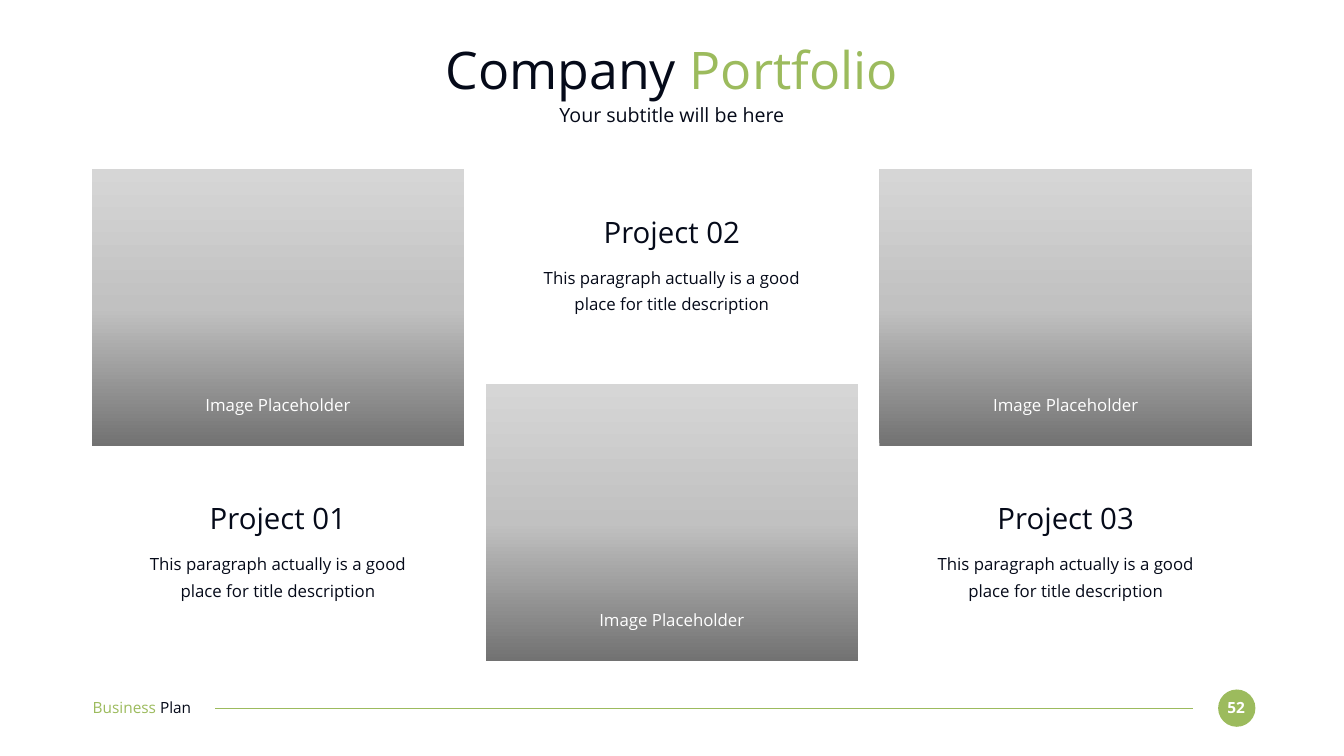
from copy import deepcopy
from dataclasses import dataclass

from lxml import etree
from pptx import Presentation
from pptx.dml.color import RGBColor
from pptx.enum import shapes, text
from pptx.oxml import ns
from pptx.util import Pt


@dataclass(frozen=True)
class Theme:
    font: str = "Open Sans"
    ink: str = "050A19"
    accent: str = "9CBB5D"
    white: str = "FFFFFF"
    gradient: tuple = ((0, "727272"), (0.5, "C1C1C1"), (1, "D6D6D6"))
    title: int = 74
    heading: int = 42
    subtitle: int = 28
    body: int = 24
    footer: int = 22


@dataclass(frozen=True)
class Frame:
    left: float
    top: float
    width: float
    height: float

    def lengths(self) -> tuple:
        return Pt(self.left), Pt(self.top), Pt(self.width), Pt(self.height)


@dataclass(frozen=True)
class Span:
    text: str
    color: str


@dataclass(frozen=True)
class Project:
    name: str
    column: int
    image_top: float
    heading_top: float


THEME = Theme()
COLUMN_LEFT, COLUMN_STEP = 131, 562.7
IMAGE_WIDTH, IMAGE_HEIGHT = 532, 395.3
HIGH_IMAGE, LOW_IMAGE = 242, 548.6
HIGH_TEXT, LOW_TEXT = 305.3, 714.2
DESCRIPTION = "This paragraph actually is a good place for title description"
PROJECTS = (
    Project("Project 01", 0, HIGH_IMAGE, LOW_TEXT),
    Project("Project 02", 1, LOW_IMAGE, HIGH_TEXT),
    Project("Project 03", 2, HIGH_IMAGE, LOW_TEXT),
)


def write(box, spans: tuple, size: int, align=text.PP_ALIGN.CENTER,
          bold: bool = False, spacing: float = 1.0) -> None:
    frame = box.text_frame
    frame.margin_left = frame.margin_right = Pt(0)
    frame.margin_top = frame.margin_bottom = Pt(0)
    frame.word_wrap = True
    frame.auto_size = text.MSO_AUTO_SIZE.NONE
    frame.vertical_anchor = text.MSO_ANCHOR.MIDDLE
    para = frame.paragraphs[0]
    para.alignment = align
    para.line_spacing = spacing
    for span in spans:
        run = para.add_run()
        run.text = span.text
        run.font.name = THEME.font
        run.font.size = Pt(size)
        run.font.bold = bold
        run.font.color.rgb = RGBColor.from_string(span.color)


def add_text(page, frame: Frame, spans: tuple, size: int, **options) -> None:
    write(page.shapes.add_textbox(*frame.lengths()), spans, size, **options)


def add_title(page, frame: Frame, spans: tuple) -> None:
    title = page.shapes.title
    title.left, title.top, title.width, title.height = frame.lengths()
    write(title, spans, THEME.title)


def add_plain_shape(page, kind, frame: Frame):
    shape = page.shapes.add_shape(kind, *frame.lengths())
    shape.shadow.inherit = False
    shape.line.fill.background()
    return shape


def add_image_area(page, frame: Frame) -> None:
    area = add_plain_shape(page, shapes.MSO_SHAPE.RECTANGLE, frame)
    area.fill.gradient()
    area.fill.gradient_angle = 90
    stop_list = area._element.spPr.find(f".//{ns.qn('a:gsLst')}")
    stop_list.append(deepcopy(stop_list[-1]))
    for stop, (position, color) in zip(area.fill.gradient_stops, THEME.gradient):
        stop.position = position
        stop.color.rgb = RGBColor.from_string(color)


def add_project(page, project: Project) -> None:
    left = COLUMN_LEFT + project.column * COLUMN_STEP
    text_left, text_width = left + 51.8, 428.4
    add_text(page, Frame(text_left, project.heading_top, text_width, 51),
             (Span(project.name, THEME.ink),), THEME.heading)
    add_text(page, Frame(text_left, project.heading_top + 69.8, text_width, 72.7),
             (Span(DESCRIPTION, THEME.ink),), THEME.body, spacing=1.3)
    add_image_area(page, Frame(left, project.image_top, IMAGE_WIDTH, IMAGE_HEIGHT))
    add_text(page, Frame(left + 60.5, project.image_top + 321.8, 411, 28.8),
             (Span("Image Placeholder", THEME.white),), THEME.body)


def add_footer(page) -> None:
    badge = add_plain_shape(page, shapes.MSO_SHAPE.OVAL,
                            Frame(1740.2, 985, 53.3, 53.3))
    badge.fill.solid()
    badge.fill.fore_color.rgb = RGBColor.from_string(THEME.accent)
    add_text(page, Frame(1744.6, 997.2, 42.5, 26.6),
             (Span("52", THEME.white),), THEME.footer, bold=True)
    rule = page.shapes.add_connector(shapes.MSO_CONNECTOR.STRAIGHT, Pt(307.4),
                                     Pt(1011.6), Pt(1704.2), Pt(1011.6))
    rule.line.color.rgb = RGBColor.from_string(THEME.accent)
    rule.line.width = Pt(1.5)
    etree.SubElement(rule._element.spPr, ns.qn("a:effectLst"))
    add_text(page, Frame(132.5, 996.5, 186.5, 26.6),
             (Span("Business ", THEME.accent), Span("Plan", THEME.ink)),
             THEME.footer, align=text.PP_ALIGN.LEFT)


def main() -> None:
    deck = Presentation()
    deck.slide_width, deck.slide_height = Pt(1920), Pt(1080)
    page = deck.slides.add_slide(deck.slide_layouts.get_by_name("Title Only"))
    add_footer(page)
    add_title(page, Frame(131.8, 52.6, 1656, 91.4),
              (Span("Company ", THEME.ink), Span("Portfolio", THEME.accent)))
    add_text(page, Frame(131.8, 146.2, 1656, 35.3),
             (Span("Your subtitle will be here", THEME.ink),), THEME.subtitle)
    for project in PROJECTS:
        add_project(page, project)
    deck.save("out.pptx")


if __name__ == "__main__":
    main()
